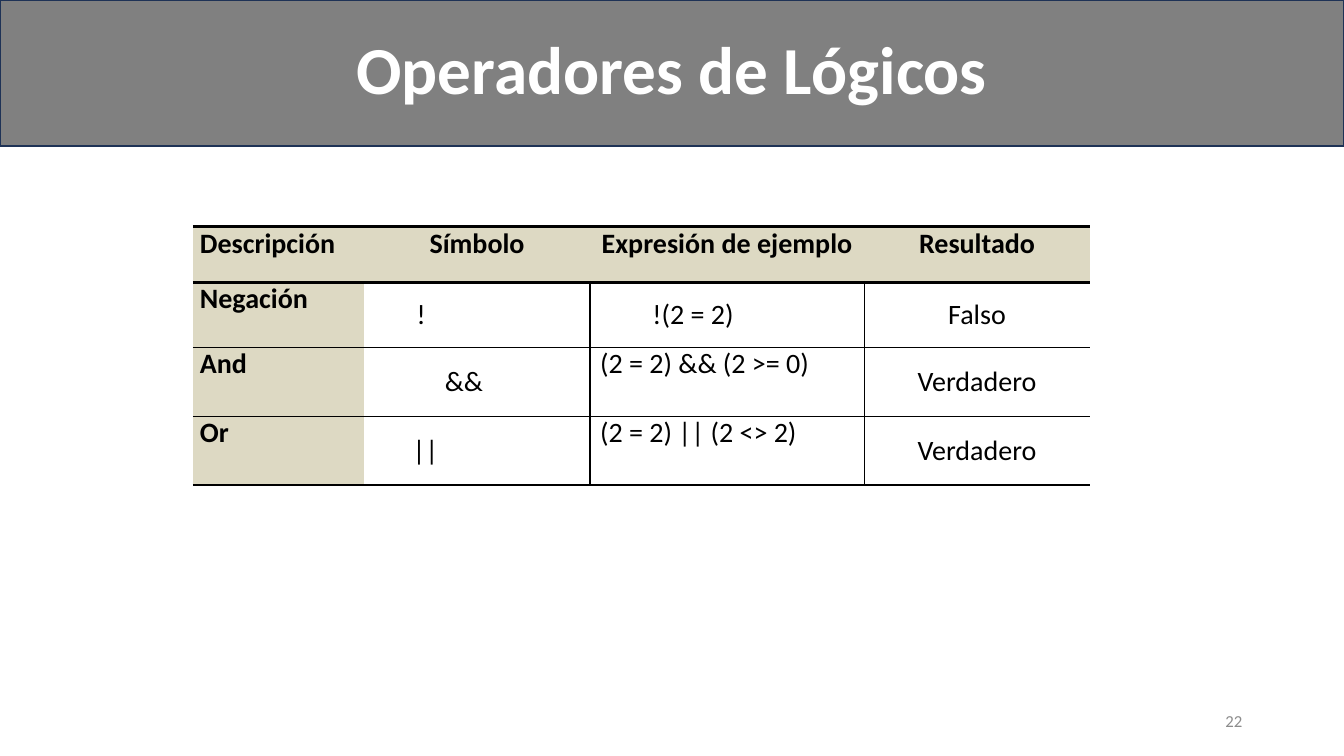
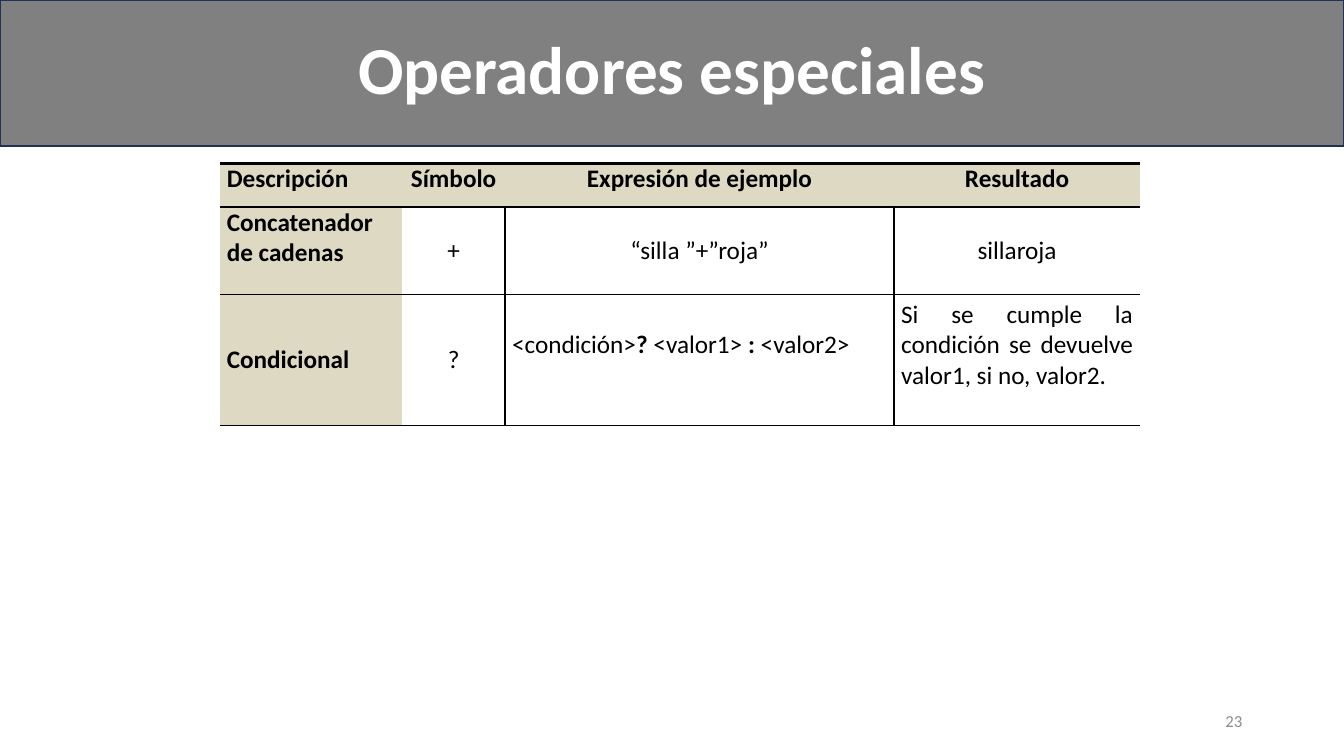
from pptx import Presentation
from pptx import util as u
from pptx.dml.color import RGBColor
from pptx.enum import text as t
from pptx.oxml.ns import qn
from lxml import etree

GRAY = RGBColor(0x80, 0x80, 0x80)
NAVY = RGBColor(0x1E, 0x32, 0x56)
SAND = RGBColor(0xDD, 0xD9, 0xC3)
SILVER = RGBColor(0x8C, 0x8C, 0x8C)
BLACK = RGBColor(0, 0, 0)
WHITE = RGBColor(255, 255, 255)

FONT = "Calibri"
LEFT, MID = t.PP_ALIGN.LEFT, t.PP_ALIGN.CENTER
RIGHT, FULL = t.PP_ALIGN.RIGHT, t.PP_ALIGN.JUSTIFY
TOP, CENTER = t.MSO_ANCHOR.TOP, t.MSO_ANCHOR.MIDDLE
THICK, THIN = 2.25, 1
HEADS = ["Descripción", "Símbolo", "Expresión de ejemplo", "Resultado"]


def border(cell, **edges):
    """Draw the edges L, R, T and B in points; zero hides an edge."""
    props = cell._tc.get_or_add_tcPr()
    for side in "LRTB":
        size = edges[side]
        line = etree.SubElement(props, qn(f"a:ln{side}"), w=str(u.Pt(size)))
        if size:
            fill = etree.SubElement(line, qn("a:solidFill"))
            etree.SubElement(fill, qn("a:srgbClr"), val=str(BLACK))
        else:
            etree.SubElement(line, qn("a:noFill"))


class Deck:
    """Holds the style and the current slide; lengths are percent of the slide."""

    def __init__(self):
        self.prs = Presentation()
        self.prs.slide_width = u.Inches(13.33)
        self.prs.slide_height = u.Inches(7.5)
        self.slide = None

    def wide(self, part):
        return round(self.prs.slide_width * part / 100)

    def high(self, part):
        return round(self.prs.slide_height * part / 100)

    def area(self, x, y, w, h):
        return self.wide(x), self.high(y), self.wide(w), self.high(h)

    def label(self, para, parts, size, color, align, bold=False):
        """Fill a paragraph; every second part changes the weight."""
        para.alignment = align
        for i, part in enumerate([parts] if isinstance(parts, str) else parts):
            run = para.add_run()
            run.text = part
            font = run.font
            font.name, font.size = FONT, u.Pt(size)
            font.bold = bold != bool(i % 2)
            font.color.rgb = color

    def page(self, title, number):
        self.slide = self.prs.slides.add_slide(self.prs.slide_layouts[5])
        self.band(title)
        self.foot(number)

    def band(self, title):
        shape = self.slide.shapes.title
        shape.left, shape.top, shape.width, shape.height = self.area(0, 0, 100, 19.33)
        shape.fill.solid()
        shape.fill.fore_color.rgb = GRAY
        shape.line.color.rgb = NAVY
        shape.line.width = u.Pt(1)
        frame = shape.text_frame
        frame.auto_size = t.MSO_AUTO_SIZE.NONE
        frame.vertical_anchor = CENTER
        para = frame.paragraphs[0]
        para.line_spacing = 0.9
        self.label(para, title, 48, WHITE, MID, True)

    def foot(self, number):
        box = self.slide.shapes.add_textbox(*self.area(70.67, 92.67, 22.5, 5.33))
        frame = box.text_frame
        frame.word_wrap = True
        frame.vertical_anchor = CENTER
        self.label(frame.paragraphs[0], str(number), 12, SILVER, RIGHT)

    def table(self, x, y, cols, rows, data, size, side, base):
        """Build the grid; side aligns column one, base is the bottom rule."""
        table = self.slide.shapes.add_table(
            len(rows), len(cols), *self.area(x, y, sum(cols), sum(rows))).table
        table.first_row = table.horz_banding = False
        for col, part in zip(table.columns, cols):
            col.width = self.wide(part)
        for row, part in zip(table.rows, rows):
            row.height = self.high(part)
        last_row, last_col = len(rows) - 1, len(cols) - 1
        for r, line in enumerate([HEADS] + data):
            for c, words in enumerate(line):
                cell = table.cell(r, c)
                head = r == 0 or c == 0
                border(cell,
                       L=THIN if r and c > 1 else 0,
                       R=THIN if r and 0 < c < last_col else 0,
                       T=THICK if r < 2 else THIN,
                       B=THICK if r == 0 else base if r == last_row else THIN)
                if head:
                    cell.fill.solid()
                    cell.fill.fore_color.rgb = SAND
                else:
                    cell.fill.background()
                cell.margin_left = cell.margin_right = u.Inches(0.07)
                cell.margin_top = cell.margin_bottom = 0
                cell.vertical_anchor = TOP if head else CENTER
                self.label(cell.text_frame.paragraphs[0], words, size, BLACK,
                           MID if c else side, head)
        return table


def place(cell, align=LEFT, anchor=CENTER, indent=0.07, lift=0):
    """Shift a cell's text from the usual centre, in inches."""
    cell.text_frame.paragraphs[0].alignment = align
    cell.vertical_anchor = anchor
    cell.margin_left = u.Inches(indent)
    cell.margin_bottom = u.Inches(lift)


def main():
    deck = Deck()

    deck.page("Operadores de Lógicos", 22)
    logic = deck.table(
        14.35, 30, [12.75, 16.8, 20.4, 16.8], [7.33, 8.6, 9.13, 9.13],
        [["Negación", "!", "!(2 = 2)", "Falso"],
         ["And", "&&", "(2 = 2) && (2 >= 0)", "Verdadero"],
         ["Or", "||", "(2 = 2) || (2 <> 2)", "Verdadero"]],
        20, FULL, 1.5)
    for r, (sign, sample) in enumerate([(0.52, 0.62), (0.8, 0.1), (0.48, 0.1)], 1):
        place(logic.cell(r, 1), indent=sign)
        place(logic.cell(r, 2), indent=sample, anchor=CENTER if r == 1 else TOP)

    deck.page("Operadores especiales", 23)
    special = deck.table(
        16.35, 21.6, [13.58, 7.65, 28.95, 18.3], [5.8, 11.6, 17.33],
        [["Concatenador de cadenas", "+", "“silla ”+”roja”", "sillaroja"],
         ["Condicional", "?",
          ["<condición>", "?", " <valor1>", " :", " <valor2>"],
          "Si se cumple la condición se devuelve valor1, si no, valor2."]],
        18, LEFT, THIN)
    place(special.cell(2, 0))
    for c in (2, 3):
        place(special.cell(2, c), FULL, lift=0.3)

    deck.prs.save("out.pptx")


if __name__ == "__main__":
    main()
